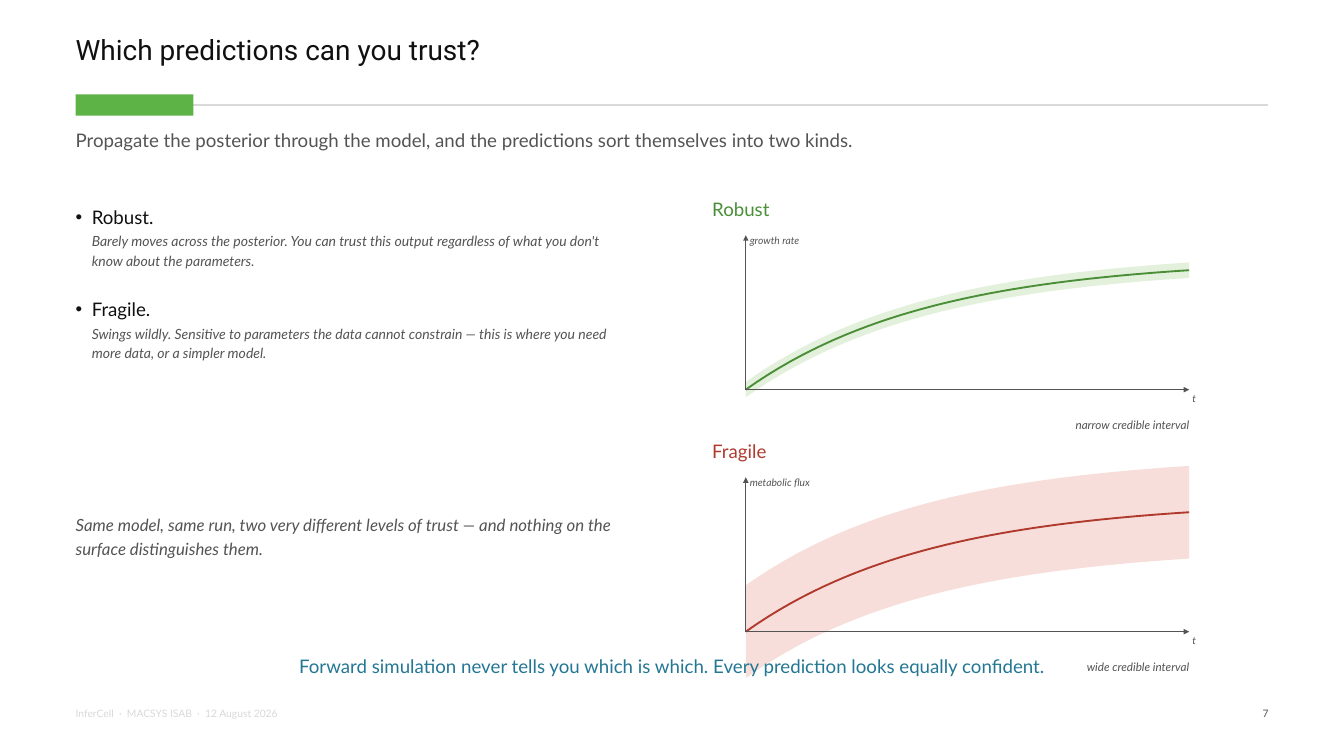
import math
from lxml import etree
from pptx import Presentation
from pptx import util as u
from pptx.dml import color as c
from pptx.enum import shapes, text
from pptx.oxml import ns

Cm = u.Cm
rgb = c.RGBColor.from_string
GRAY, INK, PALE = "545454", "101010", "D9D9D9"
LEFT, WIDTH = 2.86, 45.08
ALIGN = text.PP_ALIGN

presentation = Presentation()
presentation.slide_width = Cm(50.8)
presentation.slide_height = Cm(28.58)
slide = presentation.slides.add_slide(presentation.slide_layouts[6])


def add_text(left, top, width, height, entries, align=ALIGN.LEFT, spacing=None, font="Lato"):
    frame = slide.shapes.add_textbox(Cm(left), Cm(top), Cm(width), Cm(height)).text_frame
    frame.word_wrap = True
    frame.margin_left = frame.margin_right = frame.margin_top = frame.margin_bottom = 0
    for index, (wording, size, color, italic) in enumerate(entries):
        paragraph = frame.add_paragraph() if index else frame.paragraphs[0]
        paragraph.alignment = align
        paragraph.line_spacing = spacing
        run = paragraph.add_run()
        run.text = wording
        run.font.name = font
        run.font.size = u.Pt(size)
        run.font.italic = italic
        run.font.color.rgb = rgb(color)
    return frame


def add_line(x1, y1, x2, y2, color, weight, arrow=False):
    line = slide.shapes.add_connector(
        shapes.MSO_CONNECTOR.STRAIGHT, Cm(x1), Cm(y1), Cm(x2), Cm(y2))
    line.line.color.rgb = rgb(color)
    line.line.width = u.Pt(weight)
    if arrow:
        etree.SubElement(line.line._get_or_add_ln(), ns.qn("a:tailEnd"), type="triangle")
    etree.SubElement(line._element.spPr, ns.qn("a:effectLst"))


add_text(LEFT, 1.32, WIDTH, 2.41, [("Which predictions can you trust?", 30, INK, False)],
         spacing=0.95, font="Roboto")
add_line(LEFT, 3.97, LEFT + WIDTH, 3.97, PALE, 1.5)
accent = slide.shapes.add_shape(
    shapes.MSO_SHAPE.RECTANGLE, Cm(LEFT), Cm(3.57), Cm(4.45), Cm(0.8))
accent.shadow.inherit = False
accent.fill.solid()
accent.fill.fore_color.rgb = rgb("5EB346")
accent.line.fill.background()
add_text(LEFT, 4.89, WIDTH, 1.4, [
    ("Propagate the posterior through the model, and the predictions sort themselves "
     "into two kinds.", 20, GRAY, False)])
add_text(LEFT, 26.73, 31.57, 0.81,
         [("InferCell  ·  MACSYS ISAB  ·  12 August 2026", 11, PALE, False)])
add_text(44.9, 26.73, 3.05, 0.81, [("7", 11, GRAY, False)], ALIGN.RIGHT)

kinds = add_text(LEFT, 7.62, 20.83, 10.92, [
    ("Robust.", 20, INK, False),
    ("Barely moves across the posterior. You can trust this output regardless of what "
     "you don't know about the parameters.", 15, GRAY, True),
    ("Fragile.", 20, INK, False),
    ("Swings wildly. Sensitive to parameters the data cannot constrain — this is where "
     "you need more data, or a simpler model.", 15, GRAY, True),
], spacing=1.18)
for index, paragraph in enumerate(kinds.paragraphs):
    properties = paragraph._p.get_or_add_pPr()
    properties.set("marL", str(Cm(0.61)))
    if index % 2:
        properties.set("indent", "0")
        paragraph.space_before = u.Pt(2)
    else:
        properties.set("indent", str(-Cm(0.61)))
        etree.SubElement(properties, ns.qn("a:buFont"), typeface="Arial")
        etree.SubElement(properties, ns.qn("a:buChar"), char="•")
        if index:
            paragraph.space_before = u.Pt(26)

add_text(LEFT, 19.3, 20.83, 4.06, [
    ("Same model, same run, two very different levels of trust — and nothing on the "
     "surface distinguishes them.", 18, GRAY, True)], spacing=1.2)

AXIS_X, AXIS_WIDTH, AXIS_HEIGHT, STEPS = 28.19, 16.76, 5.84, 40
panels = [
    ("Robust", "growth rate", "narrow credible interval", 14.73, 0.05, "4A8F38", "E3F0DC"),
    ("Fragile", "metabolic flux", "wide credible interval", 23.88, 0.3, "B03A2E", "F7DEDA"),
]
for heading, quantity, caption, base, spread, color, tint in panels:
    fractions = [step / STEPS for step in range(STEPS + 1)]
    curve = [(Cm(AXIS_X + AXIS_WIDTH * fraction),
              Cm(base - 0.85 * AXIS_HEIGHT * (1 - math.exp(-2.4 * fraction))))
             for fraction in fractions]
    half = Cm(spread * AXIS_HEIGHT)
    band = [(x, y - half) for x, y in curve] + [(x, y + half) for x, y in reversed(curve)]
    for points, closed in ((band, True), (curve, False)):
        builder = slide.shapes.build_freeform(*points[0])
        builder.add_line_segments(points[1:], close=closed)
        shape = builder.convert_to_shape()
        shape.shadow.inherit = False
        if closed:
            shape.fill.solid()
            shape.fill.fore_color.rgb = rgb(tint)
            shape.line.fill.background()
        else:
            shape.fill.background()
            shape.line.color.rgb = rgb(color)
            shape.line.width = u.Pt(2)
    add_line(AXIS_X, base, AXIS_X + AXIS_WIDTH, base, GRAY, 1.25, True)
    add_line(AXIS_X, base, AXIS_X, base - AXIS_HEIGHT, GRAY, 1.25, True)
    add_text(26.92, base - 7.24, 19.3, 1.07, [(heading, 20, color, False)])
    add_text(42.67, base + 0.1, 2.54, 0.76, [("t", 11, GRAY, True)], ALIGN.RIGHT)
    add_text(AXIS_X + 0.15, base - 5.88, 3.56, 0.76, [(quantity, 11, GRAY, True)])
    add_text(AXIS_X, base + 1.07, AXIS_WIDTH, 1.27, [(caption, 12.5, GRAY, True)], ALIGN.RIGHT)

add_text(LEFT, 24.77, WIDTH, 1.27, [
    ("Forward simulation never tells you which is which. Every prediction looks equally "
     "confident.", 20, "237794", False)], ALIGN.CENTER)

presentation.save("out.pptx")
